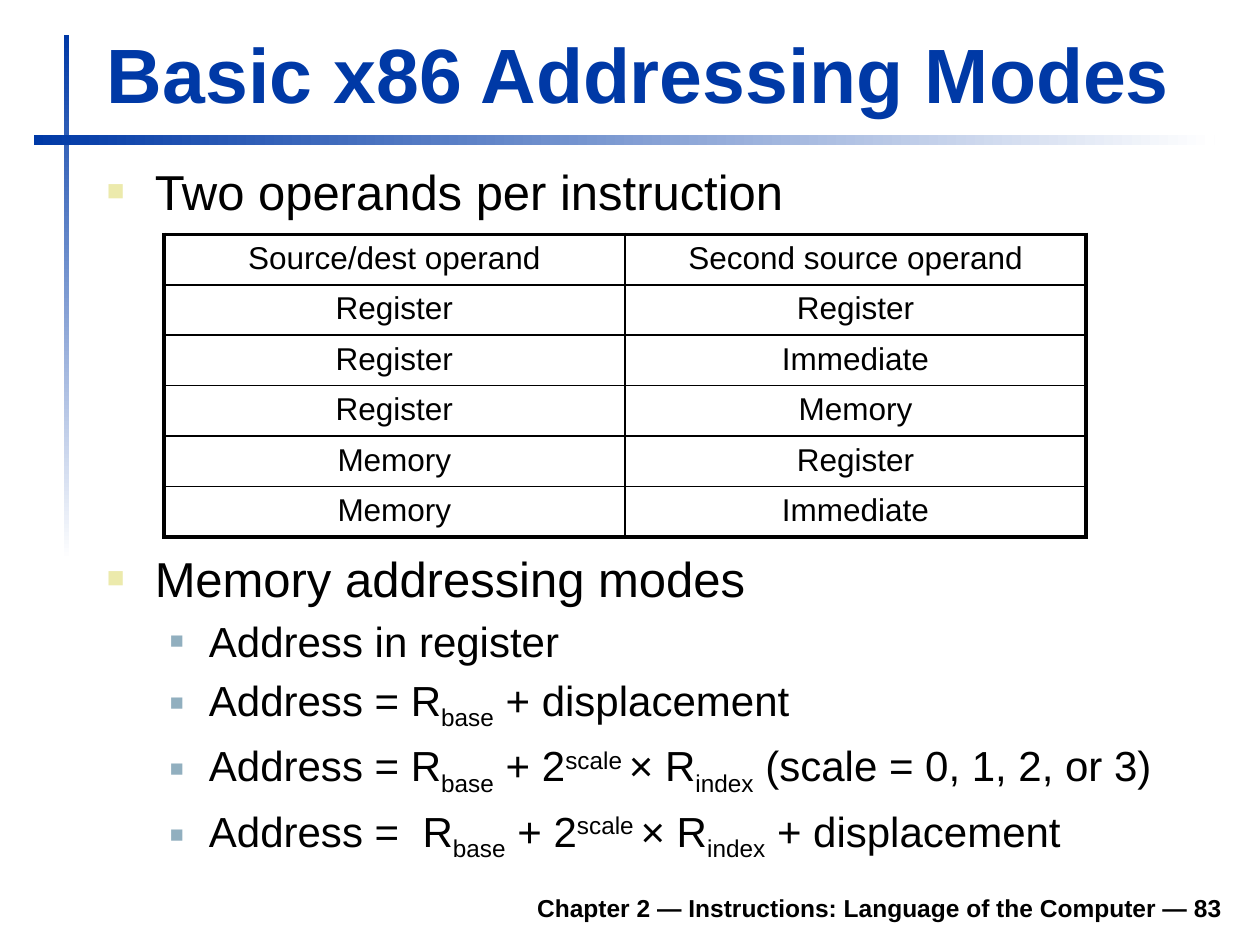
from lxml.etree import SubElement
from pptx import Presentation
from pptx.dml.color import RGBColor
from pptx.enum.shapes import MSO_SHAPE as Shape
from pptx.enum.text import MSO_ANCHOR as Anchor, PP_ALIGN as Align
from pptx.oxml.ns import qn
from pptx.util import Inches, Pt

BLUE = RGBColor(0x00, 0x39, 0xA6)
WHITE = RGBColor(0xFF, 0xFF, 0xFF)
BLACK = RGBColor(0x00, 0x00, 0x00)
CREAM = RGBColor(0xEC, 0xEA, 0xAC)
STEEL = RGBColor(0x91, 0xAF, 0xBF)

FONT = "Arial"
SUB, SUPER = -25, 30
THIN, THICK = Pt(1), Pt(2.25)

# Per level: text size, left margin, hanging indent, bullet colour, bullet size in %
LEVELS = [
    (28, 0.38, 0.38, CREAM, 60),
    (24, 0.81, 0.31, STEEL, 55),
]

OPERANDS = [
    ("Source/dest operand", "Second source operand"),
    ("Register", "Register"),
    ("Register", "Immediate"),
    ("Register", "Memory"),
    ("Memory", "Register"),
    ("Memory", "Immediate"),
]

BASE = ("base", SUB)
SCALED_INDEX = [(" + 2", 0), ("scale ", SUPER), ("× R", 0), ("index", SUB)]
OPERAND_POINTS = [(0, [("Two operands per instruction", 0)])]
MODE_POINTS = [
    (0, [("Memory addressing modes", 0)]),
    (1, [("Address in register", 0)]),
    (1, [("Address = R", 0), BASE, (" + displacement", 0)]),
    (1, [("Address = R", 0), BASE, *SCALED_INDEX, (" (scale = 0, 1, 2, or 3)", 0)]),
    (1, [("Address =  R", 0), BASE, *SCALED_INDEX, (" + displacement", 0)]),
]


def add_run(paragraph, text, size, color=BLACK, bold=False, baseline=0):
    run = paragraph.add_run()
    run.text = text
    font = run.font
    font.name, font.size, font.bold = FONT, Pt(size), bold
    font.color.rgb = color
    if baseline:
        font._element.set("baseline", str(baseline * 1000))


def space_before(paragraph):
    """Put a gap of 20% of the line before the paragraph."""
    gap = SubElement(paragraph._p.get_or_add_pPr(), qn("a:spcBef"))
    SubElement(gap, qn("a:spcPct"), val="20000")


def add_frame(slide, box, anchor=Anchor.TOP):
    frame = slide.shapes.add_textbox(*map(Inches, box)).text_frame
    frame.word_wrap = True
    frame.vertical_anchor = anchor
    return frame


def fading_bar(slide, box, angle):
    bar = slide.shapes.add_shape(Shape.RECTANGLE, *map(Inches, box))
    bar.shadow.inherit = False
    bar.line.fill.background()
    bar.fill.gradient()
    bar.fill.gradient_angle = angle
    for stop, color in zip(bar.fill.gradient_stops, (BLUE, WHITE)):
        stop.color.rgb = color


def title(slide, box, text):
    frame = add_frame(slide, box, Anchor.BOTTOM)
    add_run(frame.paragraphs[0], text, 44, BLUE, bold=True)


def footer(slide, box, text):
    frame = add_frame(slide, box, Anchor.BOTTOM)
    frame.paragraphs[0].alignment = Align.RIGHT
    add_run(frame.paragraphs[0], text, 14, bold=True)


def format_bullet(paragraph, level):
    _, margin, hang, color, percent = LEVELS[level]
    paragraph.level = level
    space_before(paragraph)
    props = paragraph._p.get_or_add_pPr()
    props.set("marL", str(Inches(margin)))
    props.set("indent", str(-Inches(hang)))
    SubElement(SubElement(props, qn("a:buClr")), qn("a:srgbClr"), val=str(color))
    SubElement(props, qn("a:buSzPct"), val=str(percent * 1000))
    SubElement(props, qn("a:buFont"), typeface=FONT)
    SubElement(props, qn("a:buChar"), char="■")


def bullet_list(slide, box, points):
    frame = add_frame(slide, box)
    for i, (level, pieces) in enumerate(points):
        paragraph = frame.add_paragraph() if i else frame.paragraphs[0]
        format_bullet(paragraph, level)
        for text, baseline in pieces:
            add_run(paragraph, text, LEVELS[level][0], baseline=baseline)


def set_borders(cell, outer_sides):
    """Draw all four edges of the cell, thick on the outer sides."""
    props = cell._tc.get_or_add_tcPr()
    for side in "LRTB":
        width = THICK if side in outer_sides else THIN
        line = SubElement(props, qn(f"a:ln{side}"), w=str(width))
        fill = SubElement(line, qn("a:solidFill"))
        SubElement(fill, qn("a:srgbClr"), val=str(BLACK))


def operand_table(slide, box, rows):
    last_row, last_col = len(rows) - 1, len(rows[0]) - 1
    table = slide.shapes.add_table(
        len(rows), len(rows[0]), *map(Inches, box)).table
    table.first_row = table.horz_banding = False
    for r, row in enumerate(rows):
        for c, text in enumerate(row):
            cell = table.cell(r, c)
            edges = {"L": c == 0, "R": c == last_col, "T": r == 0, "B": r == last_row}
            set_borders(cell, [side for side, outer in edges.items() if outer])
            cell.fill.background()
            paragraph = cell.text_frame.paragraphs[0]
            paragraph.alignment = Align.CENTER
            space_before(paragraph)
            add_run(paragraph, text, 18)


def main():
    prs = Presentation()
    prs.slide_width, prs.slide_height = Inches(10), Inches(7.5)
    slide = prs.slides.add_slide(prs.slide_layouts[6])
    fading_bar(slide, (0.51, 0.28, 0.04, 4.17), 270)
    fading_bar(slide, (0.27, 1.07, 9.37, 0.08), 0)
    footer(slide, (1.85, 6.98, 7.95, 0.39),
           "Chapter 2 — Instructions: Language of the Computer — 83")
    title(slide, (0.75, 0.16, 9.03, 0.83), "Basic x86 Addressing Modes")
    bullet_list(slide, (0.75, 1.23, 9.05, 0.71), OPERAND_POINTS)
    operand_table(slide, (1.3, 1.86, 7.32, 2.4), OPERANDS)
    bullet_list(slide, (0.75, 4.3, 9.05, 2.52), MODE_POINTS)
    prs.save("out.pptx")


if __name__ == "__main__":
    main()
